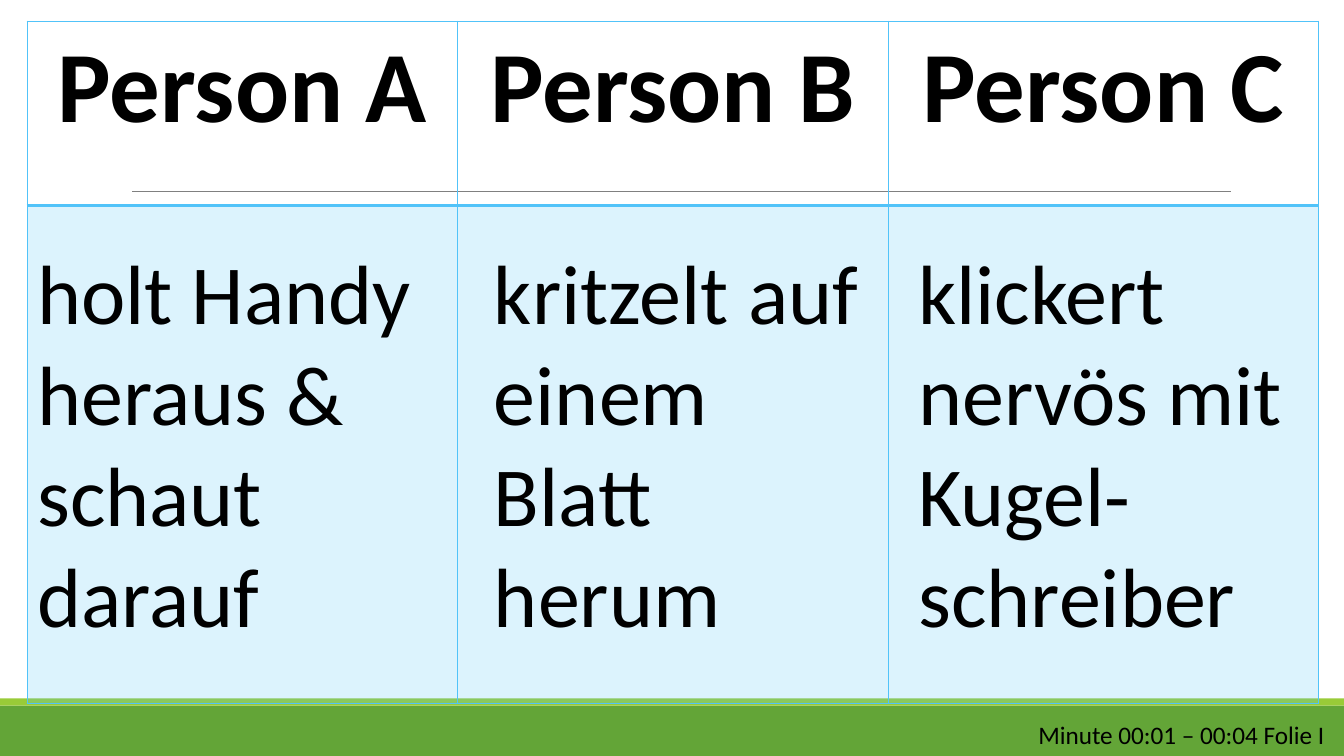
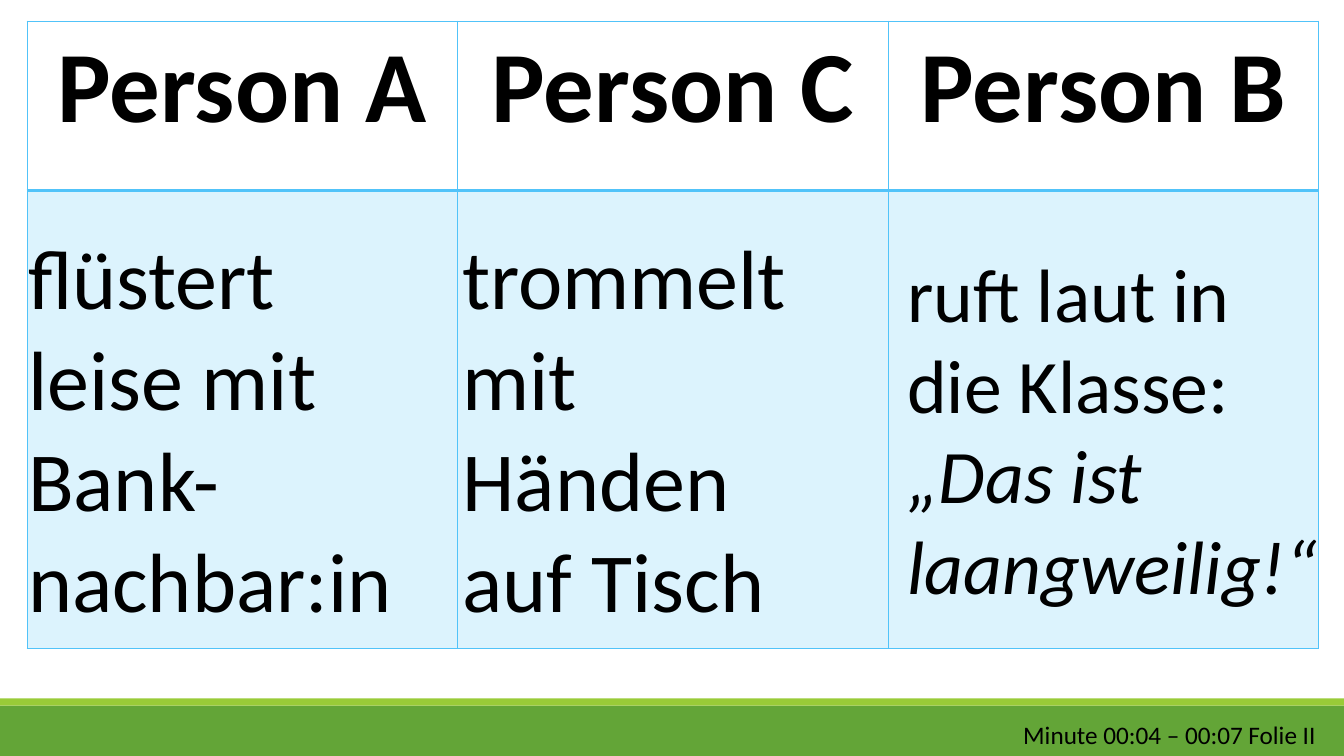
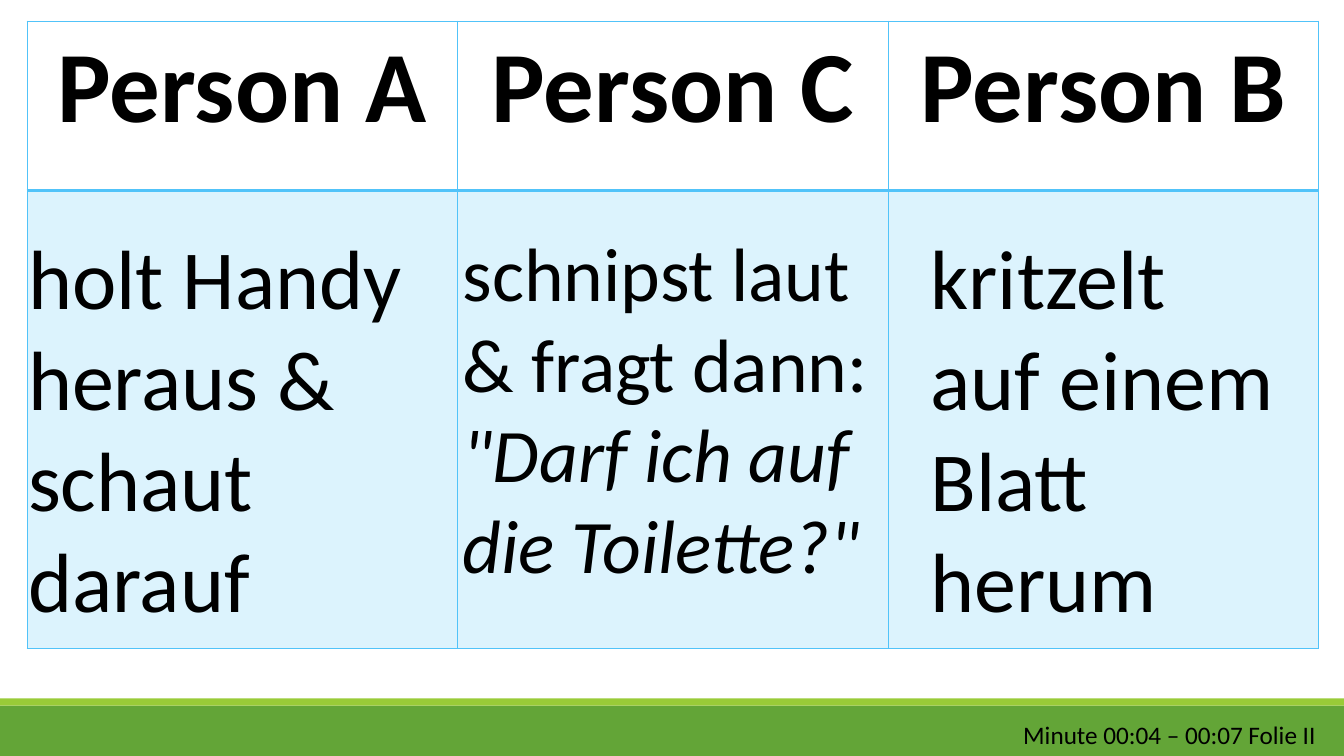
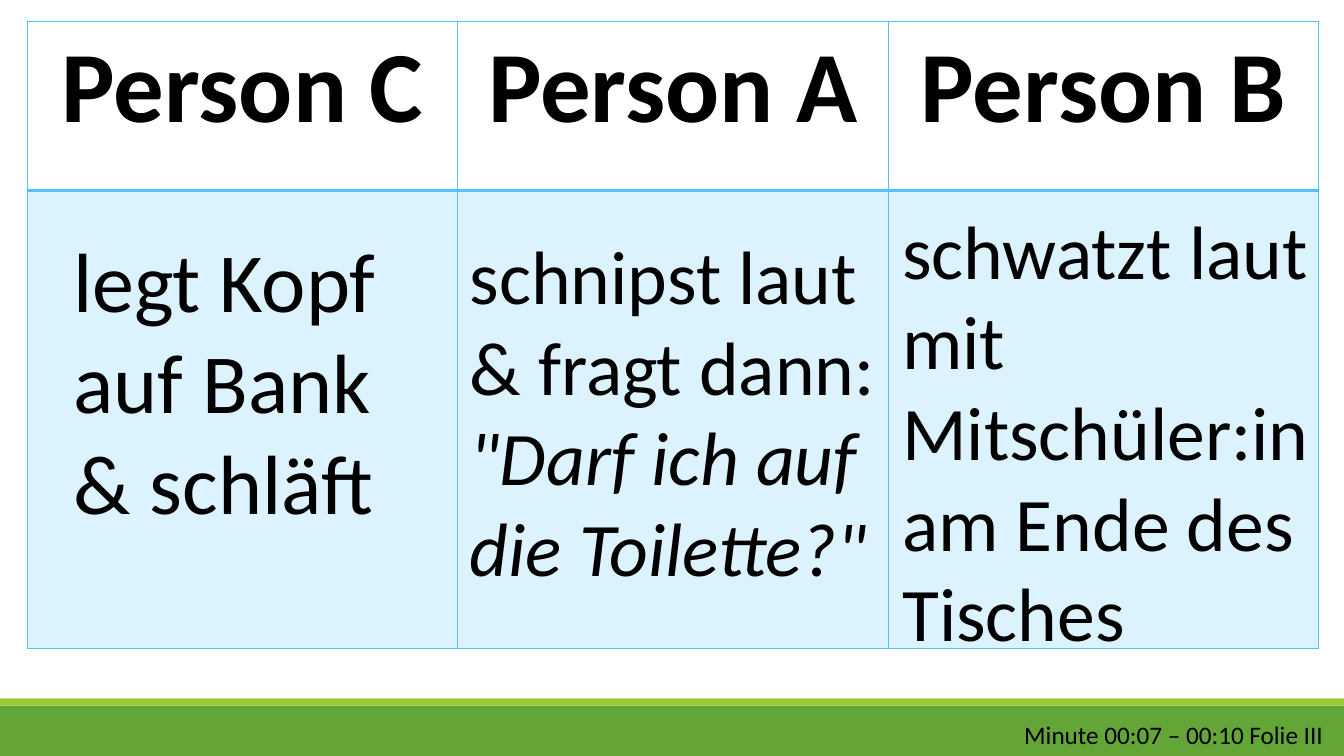
from lxml import etree
from pptx import Presentation
from pptx.dml.color import RGBColor
from pptx.enum.shapes import MSO_CONNECTOR, MSO_SHAPE
from pptx.enum.text import MSO_AUTO_SIZE, PP_ALIGN
from pptx.oxml.ns import qn
from pptx.util import Inches, Pt

RECT = MSO_SHAPE.RECTANGLE
STRAIGHT = MSO_CONNECTOR.STRAIGHT
GROW = MSO_AUTO_SIZE.SHAPE_TO_FIT_TEXT
CENTER = PP_ALIGN.CENTER

FONT = "Calibri"
BLACK, GREEN, LIME, GRAY, BLUE = "000000", "63A537", "99CB38", "808080", "51C3F9"
SLIDE_W, SLIDE_H = 13.33, 7.5
TABLE_X, TABLE_Y, COL_W = 0.27, 0.21, 4.27
TALL_ROWS, ROWS = (1.83, 4.94), (1.68, 4.54)
BODY_OPACITY = 20
BIG, MEDIUM = 60, 54
TOILET = ["schnipst laut & fragt dann:"], '"Darf ich auf die Toilette?"'

# Each action: left, top, width, height, size, paragraphs, spoken words
SLIDES = [
    ("ABC", TALL_ROWS, (10.2, 3.07, "Minute 00:01 – 00:04 Folie I"), [
        (0.27, 2.34, 4.32, 4.14, BIG, ["holt Handy heraus & schaut darauf"], None),
        (4.8, 2.34, 3.95, 4.14, BIG, ["kritzelt auf einem Blatt herum"], None),
        (9.01, 2.34, 4.02, 4.14, BIG, ["klickert nervös mit Kugel-schreiber"], None),
    ]),
    ("ACB", ROWS, (10.05, 3.22, "Minute 00:04 – 00:07 Folie II"), [
        (0.18, 2.19, 4.11, 4.14, BIG, ["flüstert leise mit Bank-nachbar:in"], None),
        (4.49, 2.19, 3.74, 4.14, BIG, ["trommelt mit Händen auf Tisch"], None),
        (8.9, 2.4, 4.31, 3.74, MEDIUM, ["ruft laut in die Klasse:"],
         "„Das ist laangweilig!“"),
    ]),
    ("ACB", ROWS, (10.05, 3.22, "Minute 00:04 – 00:07 Folie II"), [
        (0.18, 2.19, 4.44, 4.14, BIG, ["holt Handy heraus & schaut darauf"], None),
        (4.49, 2.19, 4.44, 3.74, MEDIUM, *TOILET),
        (9.13, 2.19, 3.74, 4.14, BIG, ["kritzelt auf einem Blatt herum"], None),
    ]),
    ("CAB", ROWS, (10.06, 3.21, "Minute 00:07 – 00:10 Folie III"), [
        (0.63, 2.22, 3.93, 3.13, BIG, ["legt Kopf auf Bank", "& schläft"], None),
        (4.56, 2.22, 4.51, 3.74, MEDIUM, *TOILET),
        (8.85, 1.97, 4.51, 4.64, MEDIUM,
         ["schwatzt laut mit Mitschüler:in am Ende des Tisches"], None),
    ]),
]


def rgb(value):
    """Turn a hex string into a colour."""
    return RGBColor.from_string(value)


def style(p, size, bold=False, italic=False):
    """Set the font of a paragraph."""
    p.font.name = FONT
    p.font.size = Pt(size)
    p.font.bold = bold
    p.font.italic = italic
    p.font.color.rgb = rgb(BLACK)


def add_band(slide, top, height, color):
    """Add a full-width band."""
    sp = slide.shapes.add_shape(
        RECT, 0, Inches(top), Inches(SLIDE_W), Inches(height))
    sp.shadow.inherit = False
    sp.fill.solid()
    sp.fill.fore_color.rgb = rgb(color)
    sp.line.fill.background()


def add_rule(slide, left, right, y):
    """Add a thin horizontal line."""
    line = slide.shapes.add_connector(
        STRAIGHT, Inches(left), Inches(y), Inches(right), Inches(y))
    line.line.color.rgb = rgb(GRAY)
    line.line.width = Pt(0.5)
    etree.SubElement(line._element.spPr, qn("a:effectLst"))


def add_text(slide, left, top, width, height, size, lines, spoken=None):
    """Add a text box whose spoken words stand in italics."""
    sp = slide.shapes.add_textbox(
        Inches(left), Inches(top), Inches(width), Inches(height))
    tf = sp.text_frame
    tf.word_wrap = True
    tf.auto_size = GROW
    texts = lines + [spoken] if spoken else lines
    tf.text = "\n".join(texts)
    for p, text in zip(tf.paragraphs, texts):
        style(p, size, italic=text == spoken)


def set_borders(cell, top, bottom):
    """Draw the four borders of a cell, with the given top and bottom widths."""
    tc_pr = cell._tc.get_or_add_tcPr()
    for tag, width in (("lnL", 1), ("lnR", 1), ("lnT", top), ("lnB", bottom)):
        ln = etree.SubElement(tc_pr, qn(f"a:{tag}"), w=str(Pt(width)))
        fill = etree.SubElement(ln, qn("a:solidFill"))
        etree.SubElement(fill, qn("a:srgbClr"), val=BLUE)


def tint(cell):
    """Fill a cell with translucent blue."""
    cell.fill.solid()
    cell.fill.fore_color.rgb = rgb(BLUE)
    color = cell._tc.tcPr.find(qn("a:solidFill")).find(qn("a:srgbClr"))
    etree.SubElement(color, qn("a:alpha"), val=str(BODY_OPACITY * 1000))


def add_person_table(slide, people, heights):
    """Add a table with one headed column per person."""
    table = slide.shapes.add_table(
        len(heights), len(people), Inches(TABLE_X), Inches(TABLE_Y),
        Inches(COL_W * len(people)), Inches(sum(heights))).table
    table.horz_banding = False
    table.first_row = False
    for row, height in zip(table.rows, heights):
        row.height = Inches(height)
    for col, person in enumerate(people):
        table.columns[col].width = Inches(COL_W)
        head, body = table.cell(0, col), table.cell(1, col)
        set_borders(head, 1, 2)
        head.fill.background()
        head.text = f"Person {person}"
        p = head.text_frame.paragraphs[0]
        p.alignment = CENTER
        style(p, 72, bold=True)
        set_borders(body, 2, 1)
        tint(body)


def add_base(prs):
    """Add a slide with the shared bands and rule."""
    slide = prs.slides.add_slide(prs.slide_layouts[6])
    add_band(slide, 7, 0.5, GREEN)
    add_band(slide, 6.93, 0.07, LIME)
    add_rule(slide, 1.31, 12.21, 1.9)
    return slide


def main():
    """Build the deck."""
    prs = Presentation()
    prs.slide_width = Inches(SLIDE_W)
    prs.slide_height = Inches(SLIDE_H)
    for people, heights, (left, width, minutes), actions in SLIDES:
        slide = add_base(prs)
        add_person_table(slide, people, heights)
        for action in actions:
            add_text(slide, *action)
        add_text(slide, left, 7.09, width, 0.4, 18, [minutes])
    prs.save("out.pptx")


main()
